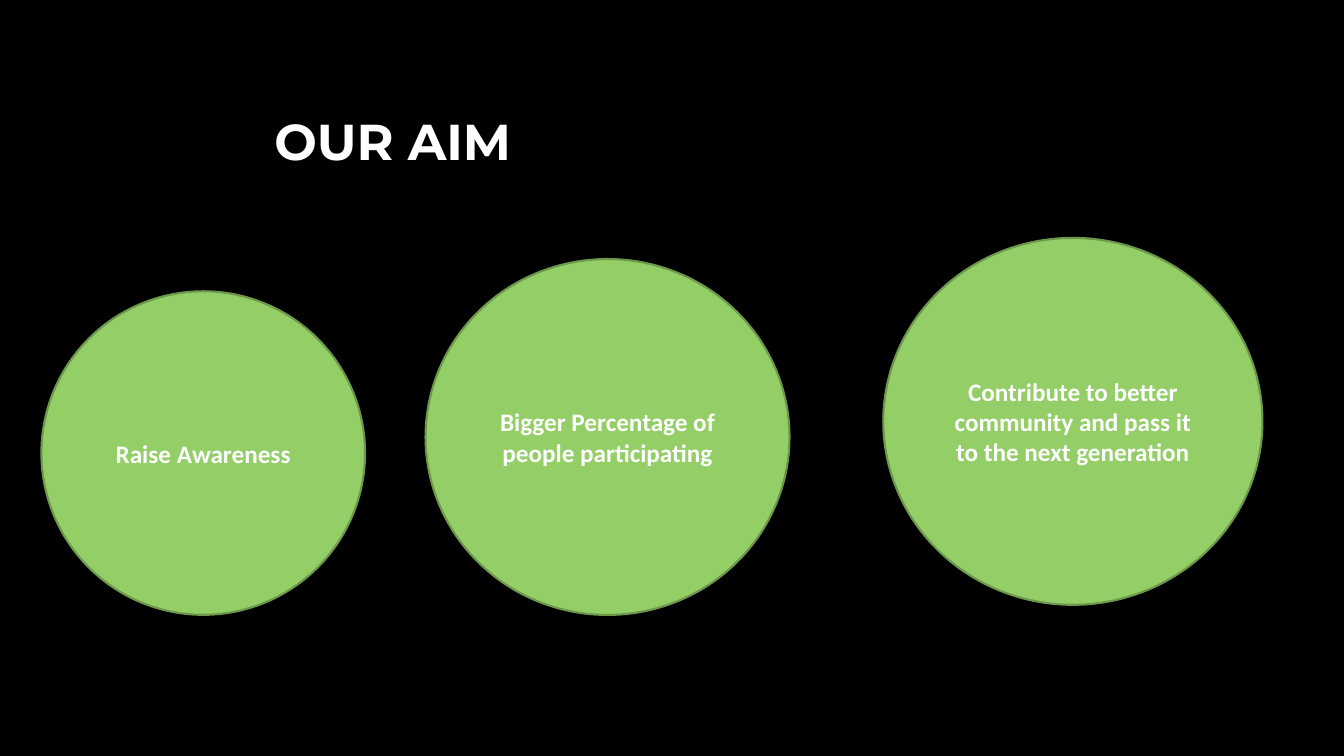
from pptx import Presentation
from pptx.dml.color import RGBColor
from pptx.enum.shapes import MSO_SHAPE
from pptx.enum.text import MSO_ANCHOR, MSO_AUTO_SIZE, PP_ALIGN
from pptx.util import Inches, Pt

OVAL = MSO_SHAPE.OVAL
MIDDLE = MSO_ANCHOR.MIDDLE
FIXED = MSO_AUTO_SIZE.NONE
LEFT, CENTER = PP_ALIGN.LEFT, PP_ALIGN.CENTER
WIDTH, HEIGHT = Inches(13.33), Inches(7.5)

AIMS = [
    ("Raise Awareness", (3.08, 38.53, 24.08, 42.8)),
    ("Bigger Percentage of people participating", (31.66, 34.27, 27.08, 47.07)),
    ("Contribute to better community and pass it to the next generation",
     (65.72, 31.47, 28.21, 48.53)),
]


def color(code):
    return RGBColor.from_string(code)


class Deck:
    back, green, edge, white = "000000", "94CE67", "6D984C", "FFFFFF"

    def __init__(self):
        self.deck = Presentation()
        self.deck.slide_width, self.deck.slide_height = WIDTH, HEIGHT
        self.slide = self.deck.slides.add_slide(self.deck.slide_layouts[5])
        fill = self.slide.background.fill
        fill.solid()
        fill.fore_color.rgb = color(self.back)

    def across(self, share):
        return round(WIDTH * share / 100)

    def down(self, share):
        return round(HEIGHT * share / 100)

    def box(self, area):
        x, y, w, h = area
        return self.across(x), self.down(y), self.across(w), self.down(h)

    def label(self, shape, text, font, size, align):
        frame = shape.text_frame
        frame.text = text
        frame.word_wrap = True
        frame.auto_size = FIXED
        frame.vertical_anchor = MIDDLE
        line = frame.paragraphs[0]
        line.alignment = align
        for run in line.runs:
            run.font.name = font
            run.font.size = Pt(size)
            run.font.bold = True
            run.font.color.rgb = color(self.white)

    def title(self, text, area, inset):
        shape = self.slide.shapes.title
        shape.left, shape.top, shape.width, shape.height = self.box(area)
        self.label(shape, text, "Montserrat", 36, LEFT)
        shape.text_frame.margin_left = self.across(inset)

    def circle(self, text, area):
        shape = self.slide.shapes.add_shape(OVAL, *self.box(area))
        shape.shadow.inherit = False
        shape.fill.solid()
        shape.fill.fore_color.rgb = color(self.green)
        shape.line.color.rgb = color(self.edge)
        shape.line.width = Pt(1.5)
        self.label(shape, text, "Calibri", 18, CENTER)


def main():
    aim = Deck()
    aim.title("OUR AIM", (5.63, 8.93, 37.81, 19.2), 14.78)
    for text, area in AIMS:
        aim.circle(text, area)
    aim.deck.save("out.pptx")


if __name__ == "__main__":
    main()
